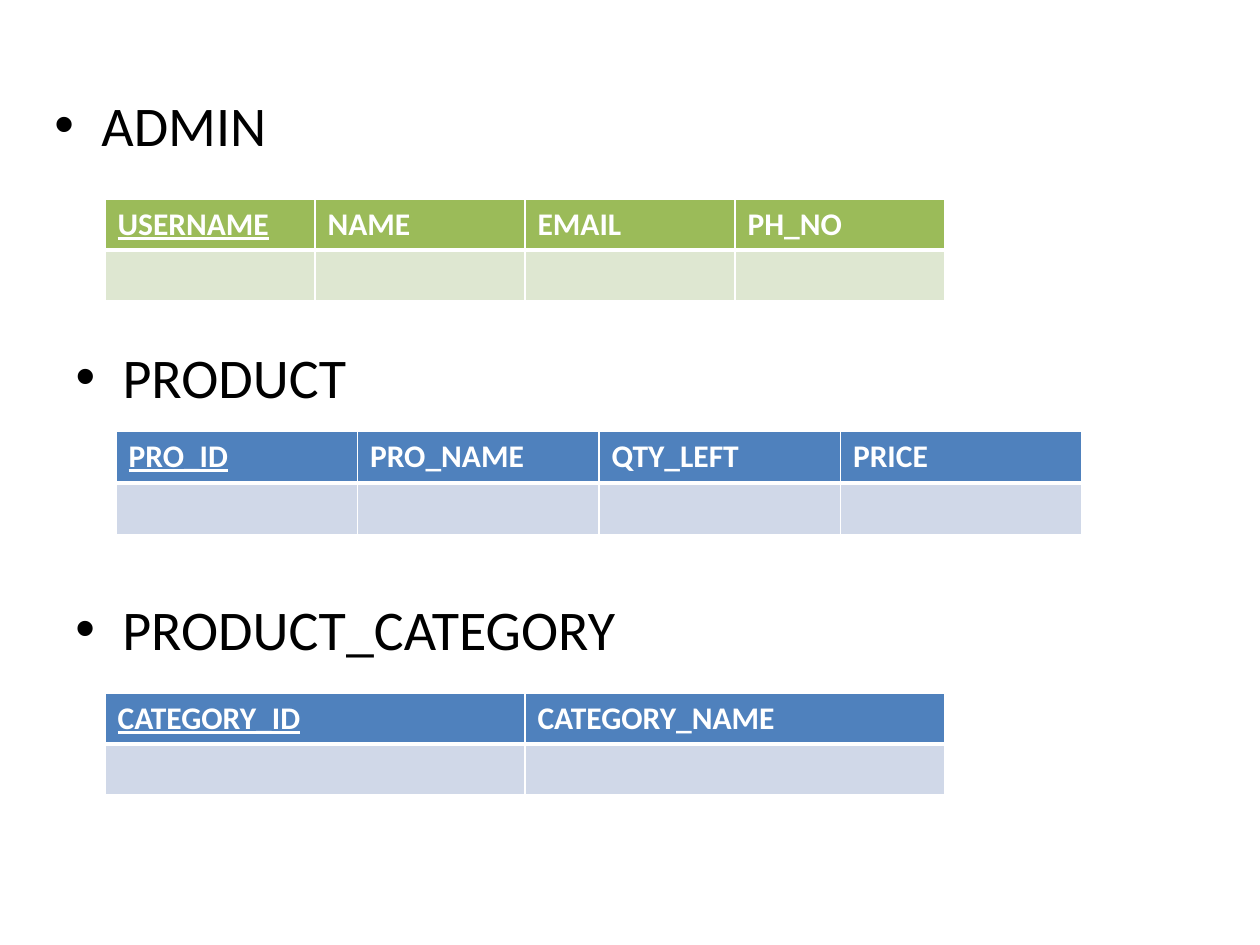
"""Build a slide of three database relations, each a bulleted name above its table of attributes."""
from lxml import etree
from pptx import Presentation, util as u
from pptx.dml.color import RGBColor
from pptx.enum import text
from pptx.oxml import ns

SCALE = 914400 / 126
RELATIONS = [
    dict(name="PRODUCT", heading=(63, 336, 577, 73), grid=(116, 431, 966), row=52,
         head="4F81BD", body="D0D8E8", fields=["PRO_ID", "PRO_NAME", "QTY_LEFT", "PRICE"]),
    dict(name="ADMIN", heading=(42, 84, 735, 84), grid=(105, 199, 840), row=51,
         head="9BBB59", body="DEE7D1", fields=["USERNAME", "NAME", "EMAIL", "PH_NO"]),
    dict(name="PRODUCT_CATEGORY", heading=(63, 588, 577, 73), grid=(105, 693, 840), row=51,
         head="4F81BD", body="D0D8E8", fields=["CATEGORY_ID", "CATEGORY_NAME"]),
]


def px(length):
    return u.Emu(round(length * SCALE))


def color(value):
    return RGBColor.from_string(value)


deck = Presentation()
deck.slide_width, deck.slide_height = px(1260), px(945)
slide = deck.slides.add_slide(deck.slide_layouts[1])
title = slide.shapes.title
title.element.getparent().remove(title.element)
body = slide.placeholders[1]

for relation in RELATIONS:
    box = [px(length) for length in relation["heading"]]
    heading = body if relation["name"] == "PRODUCT" else slide.shapes.add_textbox(*box)
    for key, value in zip(("left", "top", "width", "height"), box):
        setattr(heading, key, value)
    frame = heading.text_frame
    frame.word_wrap = True
    frame.auto_size = text.MSO_AUTO_SIZE.NONE
    frame.vertical_anchor = text.MSO_ANCHOR.TOP
    label = frame.paragraphs[0]
    label.text = relation["name"]
    label.space_before = u.Pt(6.4)
    for key, value in dict(name="Calibri", size=u.Pt(32)).items():
        setattr(label.runs[0].font, key, value)
    label.runs[0].font.color.rgb = color("000000")
    props = label._p.get_or_add_pPr()
    props.set("marL", str(px(47)))
    props.set("indent", str(px(-47)))
    etree.SubElement(props, ns.qn("a:buFont"), typeface="Arial")
    etree.SubElement(props, ns.qn("a:buChar"), char="•")

    left, top, width = relation["grid"]
    fields, row = relation["fields"], relation["row"]
    table = slide.shapes.add_table(2, len(fields), px(left), px(top), px(width), px(2 * row)).table
    for column in table.columns:
        column.width = px(width / len(fields))
    for index, cell in enumerate(table.iter_cells()):
        in_head = index < len(fields)
        cell.fill.solid()
        cell.fill.fore_color.rgb = color(relation["head" if in_head else "body"])
        if in_head:
            attribute = cell.text_frame.paragraphs[0].add_run()
            attribute.text = fields[index]
            style = dict(name="Calibri", size=u.Pt(18), bold=True, underline=index == 0)
            for key, value in style.items():
                setattr(attribute.font, key, value)
            attribute.font.color.rgb = color("FFFFFF")
        edges = dict(L=1, R=1, T=1 if in_head else 3, B=3 if in_head else 1)
        for place, (side, points) in enumerate(edges.items()):
            edge = etree.Element(ns.qn(f"a:ln{side}"), w=str(u.Pt(points)))
            paint = etree.SubElement(edge, ns.qn("a:solidFill"))
            etree.SubElement(paint, ns.qn("a:srgbClr"), val="FFFFFF")
            cell._tc.get_or_add_tcPr().insert(place, edge)

deck.save("out.pptx")
